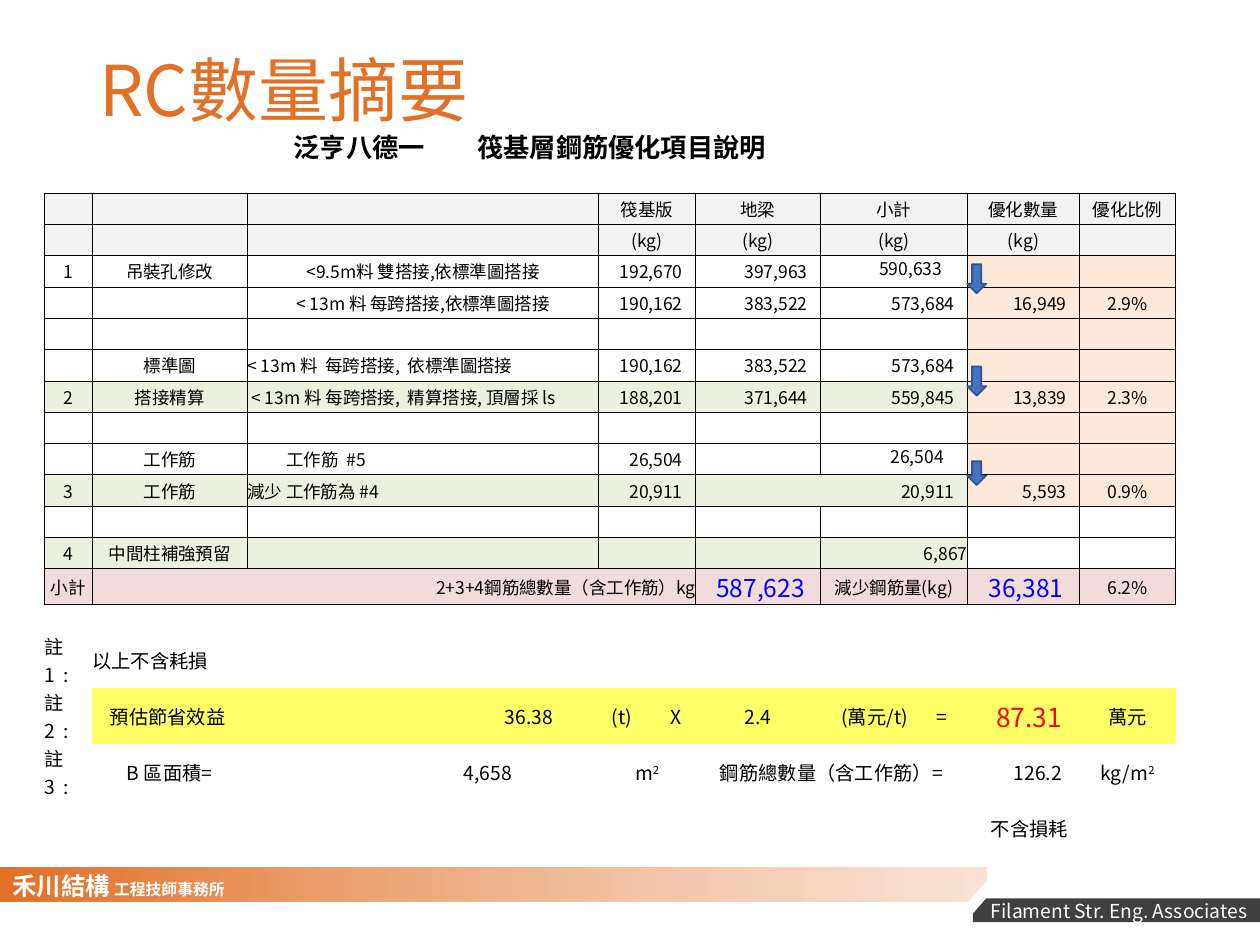
"""Build the reinforcement quantity summary slide."""
from lxml import etree
from pptx import Presentation
from pptx.dml.color import RGBColor
from pptx.enum import shapes as kinds, text as txt
from pptx.oxml import ns
from pptx.util import Pt

COLORS = {
    "orange": "E27128", "band": "E27026", "band_end": "F6D4BE", "dark": "404040",
    "white": "FFFFFF", "black": "000000", "blue": "0000FF", "red": "FF0000",
    "header": "F2F2F2", "green": "EBF1DE", "peach": "FDE9D9", "pink": "F2DCDB",
    "yellow": "FFFF66", "arrow": "4472C4", "arrow_edge": "325491",
}
SC, TC = "Noto Sans CJK SC", "Noto Sans CJK TC"
LEFT, CENTER, RIGHT = txt.PP_ALIGN.LEFT, txt.PP_ALIGN.CENTER, txt.PP_ALIGN.RIGHT
TOP, MIDDLE = txt.MSO_ANCHOR.TOP, txt.MSO_ANCHOR.MIDDLE

COLUMNS = [27.4, 88.6, 200.8, 55.4, 71.3, 84.1, 64, 55]
HEIGHTS = [23.8, 15.3] + [17.9] * 12 + [20.6, 15.3] + [32.1] * 4
GRID_ROWS = range(2, 15)
ROWS = [
    ["", "泛亨八德一\u3000\u3000筏基層鋼筋優化項目說明"],
    [],
    ["", "", "", "筏基版", "地梁", "小計", "優化數量", "優化比例"],
    ["", "", "", "(kg)", "(kg)", "(kg)", "(kg)"],
    ["1", "吊裝孔修改", "<9.5m料 雙搭接,依標準圖搭接", "192,670", "397,963", "590,633"],
    ["", "", "< 13m 料 每跨搭接,依標準圖搭接", "190,162", "383,522", "573,684",
     "16,949", "2.9%"],
    [],
    ["", "標準圖", "< 13m 料  每跨搭接,  依標準圖搭接", "190,162", "383,522", "573,684"],
    ["2", "搭接精算", "< 13m 料 每跨搭接,  精算搭接, 頂層採 ls", "188,201", "371,644",
     "559,845", "13,839", "2.3%"],
    [],
    ["", "工作筋", "工作筋  #5", "26,504", "", "26,504"],
    ["3", "工作筋", "減少 工作筋為 #4", "20,911", "", "20,911", "5,593", "0.9%"],
    [],
    ["4", "中間柱補強預留", "", "", "", "6,867"],
    ["小計", "2+3+4鋼筋總數量（含工作筋）kg", "", "", "587,623", "減少鋼筋量(kg)",
     "36,381", "6.2%"],
    [],
    ["註 1  :", "以上不含耗損"],
    ["註 2  :", "預估節省效益", "36.38", "(t)\tX", "2.4", "(萬元/t)\t=", "87.31", "萬元"],
    ["註 3  :", "B 區面積=", "4,658", "m^2", "鋼筋總數量（含工作筋）=", "", "126.2", "kg/m^2"],
    ["", "", "", "", "", "", "不含損耗"],
]
MERGES = [(0, 1, 5), (14, 1, 3), (16, 1, 2), (18, 4, 5), (19, 1, 2)]
SPECIAL = {
    (0, 1): {"size": 15, "bold": True},
    (4, 5): {"anchor": TOP, "right": 14.5},
    (7, 2): {"align": LEFT},
    (8, 2): {"align": LEFT, "left": 2.3},
    (10, 2): {"align": LEFT, "left": 22.5, "font": TC},
    (10, 5): {"anchor": TOP, "right": 13.5},
    (11, 2): {"align": LEFT, "font": TC},
    (13, 5): {"right": 0},
    (14, 1): {"align": RIGHT},
    (14, 4): {"size": 14, "color": "blue", "left": 3},
    (14, 6): {"size": 14, "color": "blue", "left": 3},
    (16, 1): {"align": LEFT},
    (17, 1): {"right": 2.3},
    (17, 2): {"align": RIGHT, "right": 26},
    (17, 3): {"align": LEFT, "left": 7.5, "tab": 33.5},
    (17, 5): {"align": LEFT, "left": 12, "tab": 54.5},
    (17, 6): {"align": RIGHT, "right": 10, "size": 15, "color": "red"},
    (18, 2): {"align": RIGHT, "right": 49.5},
    (18, 6): {"align": RIGHT, "right": 10},
    (19, 6): {"left": 7},
}


def rgb(name):
    """Return a palette colour."""
    return RGBColor.from_string(COLORS[name])


def apply(target, values):
    """Set every named attribute on the target."""
    for key, value in values.items():
        setattr(target, key, value)


def sub(parent, tag, **attributes):
    """Append a DrawingML element."""
    return etree.SubElement(parent, ns.qn(tag), attributes)


def add_run(paragraph, words, size, color="black", font=SC, bold=False):
    """Add a run with Latin and East Asian fonts."""
    run = paragraph.add_run()
    run.text = words
    apply(run.font, {"size": Pt(size), "bold": bold, "name": font})
    run.font.color.rgb = rgb(color)
    sub(run._r.get_or_add_rPr(), "a:ea", typeface=font)
    return run


def add_block(slide, kind, box, fill, edge=None):
    """Add a filled preset shape."""
    block = slide.shapes.add_shape(kind, *map(Pt, box))
    block.shadow.inherit = False
    block.fill.solid()
    block.fill.fore_color.rgb = rgb(fill)
    if edge:
        block.line.color.rgb = rgb(edge)
        block.line.width = Pt(1)
    else:
        block.line.fill.background()
    return block


def add_footer(slide):
    """Add the gradient band, the firm name and the dark tag."""
    band = add_block(slide, kinds.MSO_SHAPE.RECTANGLE, (0, 496, 563.5, 19.3), "band")
    band.fill.gradient()
    band.fill.gradient_angle = 0
    for stop, color, position in zip(band.fill.gradient_stops, ("band", "band_end"), (0, 0.99)):
        stop.color.rgb = rgb(color)
        stop.position = position
    last_color = band._element.spPr.findall(".//" + ns.qn("a:srgbClr"))[1]
    sub(last_color, "a:alpha", val="64000")

    tag = add_block(slide, kinds.MSO_SHAPE.RECTANGLE, (556, 513.4, 164, 13.6), "dark")
    apply(tag.text_frame, {"vertical_anchor": MIDDLE, "word_wrap": True, "margin_left": 0,
                           "margin_top": 0, "margin_bottom": 0})
    english = tag.text_frame.paragraphs[0]
    english.alignment = RIGHT
    add_run(english, "Filament Str. Eng. Associates", 11, "white")

    firm = slide.shapes.add_textbox(Pt(0), Pt(494), Pt(318), Pt(35))
    firm.text_frame.word_wrap = True
    name = firm.text_frame.paragraphs[0]
    add_run(name, "禾川結構", 14, "white", bold=True)
    add_run(name, " 工程技師事務所", 9, "white", bold=True)

    notch = add_block(slide, kinds.MSO_SHAPE.PARALLELOGRAM, (540.7, 499.7, 34.6, 30.2), "white")
    notch.adjustments[0] = 0.87


def add_title(slide):
    """Place and format the title."""
    title = slide.shapes.title
    apply(title, dict(zip(("left", "top", "width", "height"), map(Pt, (49.5, 28.8, 620.6, 49.7)))))
    apply(title.text_frame, {"vertical_anchor": MIDDLE, "word_wrap": True,
                             "auto_size": txt.MSO_AUTO_SIZE.NONE})
    heading = title.text_frame.paragraphs[0]
    apply(heading, {"alignment": LEFT, "line_spacing": 0.9})
    add_run(heading, "RC數量摘要", 40, "orange")


def cell_fill(row, column):
    """Return the fill colour name of a cell."""
    if row in (2, 3):
        return "header"
    if 4 <= row <= 11 and column >= 6:
        return "peach"
    if row in (8, 11, 13) and column < 6:
        return "green"
    if row == 14:
        return "pink"
    return "yellow" if row == 17 and column else None


def cell_format(row, column):
    """Return the text format of a cell."""
    number = 4 <= row <= 13 and 3 <= column <= 6
    note = row >= 16
    note_label = note and column == 0
    base = {"size": 11 if note else 10, "color": "black", "bold": False,
            "font": TC if note_label else SC, "left": 0, "right": 7.4 if number else 0,
            "align": RIGHT if number else LEFT if note_label else CENTER,
            "anchor": MIDDLE, "tab": None}
    return base | SPECIAL.get((row, column), {})


def draw_borders(cell, row, column):
    """Draw grid lines around a cell, or hide them."""
    open_side = {(11, 4): "a:lnR", (11, 5): "a:lnL"}.get((row, column))
    for side in ("a:lnL", "a:lnR", "a:lnT", "a:lnB"):
        edge = sub(cell._tc.get_or_add_tcPr(), side, w=str(Pt(0.5)))
        shared = (row == 1 and side == "a:lnB") or (row == 15 and side == "a:lnT")
        if shared or (row in GRID_ROWS and side != open_side):
            sub(sub(edge, "a:solidFill"), "a:srgbClr", val=COLORS["black"])
        else:
            sub(edge, "a:noFill")


def fill_cell(cell, row, column, words):
    """Format a cell and write its text, raising what follows a caret."""
    form = cell_format(row, column)
    draw_borders(cell, row, column)
    fill = cell_fill(row, column)
    if fill:
        cell.fill.solid()
        cell.fill.fore_color.rgb = rgb(fill)
    else:
        cell.fill.background()
    apply(cell, {"margin_left": Pt(form["left"]), "margin_right": Pt(form["right"]),
                 "margin_top": 0, "margin_bottom": 0, "vertical_anchor": form["anchor"]})
    line = cell.text_frame.paragraphs[0]
    line.alignment = form["align"]
    if form["tab"]:
        stops = sub(line._p.get_or_add_pPr(), "a:tabLst")
        sub(stops, "a:tab", pos=str(Pt(form["tab"])), algn="l")
    look = {key: form[key] for key in ("size", "color", "font", "bold")}
    for index, part in enumerate(words.split("^") if words else []):
        run = add_run(line, part, **look)
        if index:
            run._r.get_or_add_rPr().set("baseline", "30000")
    if not words:
        sub(line._p, "a:endParaRPr", sz="1000")


def add_quantities(slide):
    """Add the quantity table with its notes."""
    frame = slide.shapes.add_table(len(ROWS), len(COLUMNS), Pt(25.3), Pt(71.3),
                                   Pt(sum(COLUMNS)), Pt(sum(HEIGHTS)))
    table = frame.table
    apply(table, {"first_row": False, "horz_banding": False})
    for column, width in zip(table.columns, COLUMNS):
        column.width = Pt(width)
    for row, height in zip(table.rows, HEIGHTS):
        row.height = Pt(height)
    for r, words in enumerate(ROWS):
        for c in range(len(COLUMNS)):
            fill_cell(table.cell(r, c), r, c, words[c] if c < len(words) else "")
    for r, first, last in MERGES:
        table.cell(r, first).merge(table.cell(r, last))


def main():
    """Build and save the slide."""
    deck = Presentation()
    apply(deck, {"slide_width": Pt(720), "slide_height": Pt(540)})
    slide = deck.slides.add_slide(deck.slide_layouts[5])
    add_footer(slide)
    add_title(slide)
    add_quantities(slide)
    for top, height in ((151, 16.6), (263.5, 13.7), (209.5, 16.6)):
        add_block(slide, kinds.MSO_SHAPE.DOWN_ARROW, (552.7, top, 10.8, height),
                  "arrow", "arrow_edge")
    deck.save("out.pptx")


if __name__ == "__main__":
    main()
